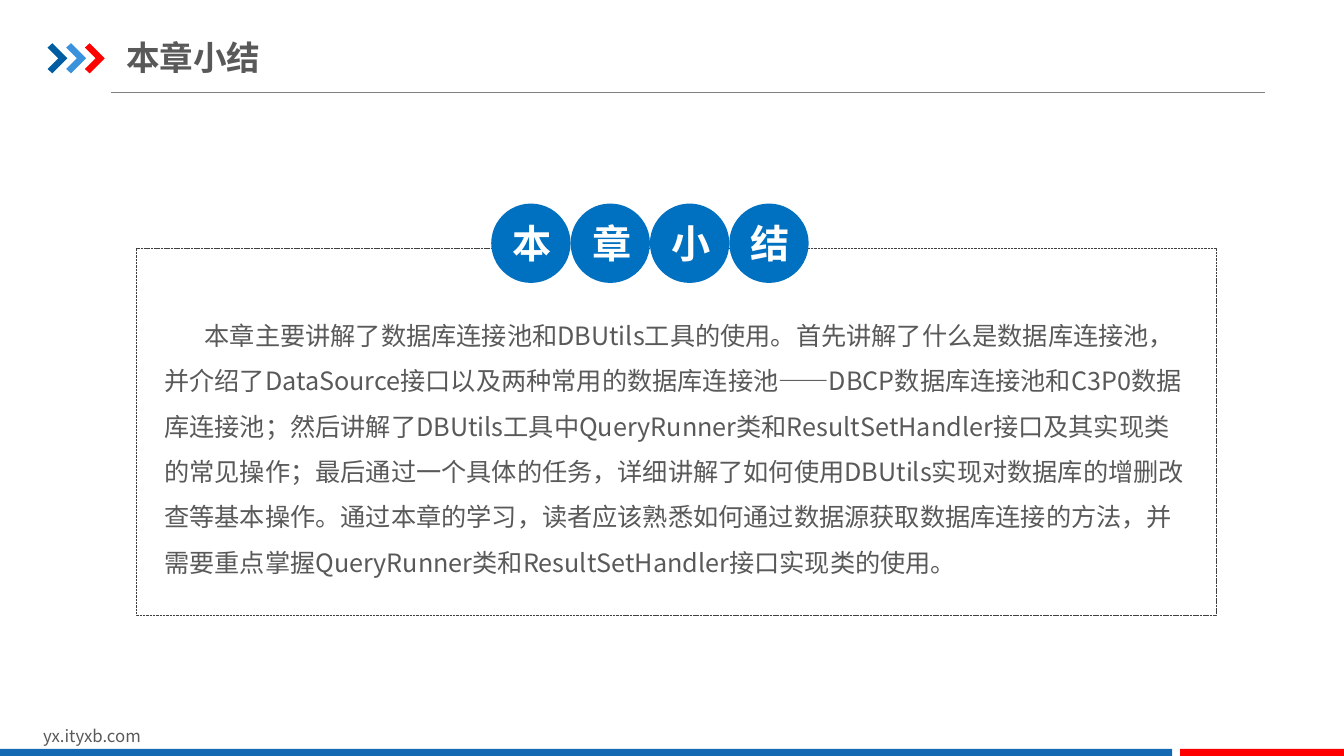
from dataclasses import dataclass

from lxml.etree import SubElement
from pptx import Presentation
from pptx.dml.color import RGBColor
from pptx.enum.dml import MSO_LINE
from pptx.enum.shapes import MSO_CONNECTOR, MSO_SHAPE
from pptx.enum.text import MSO_ANCHOR, MSO_AUTO_SIZE, PP_ALIGN
from pptx.oxml.ns import qn
from pptx.shapes.autoshape import Shape
from pptx.slide import Slide
from pptx.text.text import TextFrame, _Paragraph
from pptx.util import Cm, Pt

FONT = "Noto Sans CJK SC"
TEXT_GREY = "595959"
TITLE = "本章小结"
SUMMARY = (
    "本章主要讲解了数据库连接池和DBUtils工具的使用。首先讲解了什么是数据库连接池，"
    "并介绍了DataSource接口以及两种常用的数据库连接池——DBCP数据库连接池和C3P0数据库连接池；"
    "然后讲解了DBUtils工具中QueryRunner类和ResultSetHandler接口及其实现类的常见操作；"
    "最后通过一个具体的任务，详细讲解了如何使用DBUtils实现对数据库的增删改查等基本操作。"
    "通过本章的学习，读者应该熟悉如何通过数据源获取数据库连接的方法，"
    "并需要重点掌握QueryRunner类和ResultSetHandler接口实现类的使用。"
)


@dataclass(frozen=True)
class Area:
    """A rectangle in centimetres."""
    left: float
    top: float
    width: float
    height: float

    def lengths(self) -> tuple[Cm, Cm, Cm, Cm]:
        return Cm(self.left), Cm(self.top), Cm(self.width), Cm(self.height)


@dataclass(frozen=True)
class Bar:
    area: Area
    colour: str


FOOTER_BARS = [
    Bar(Area(0, 18.87, 29.54, 0.18), "1369B2"),
    Bar(Area(29.74, 18.87, 4.13, 0.18), "FF0000"),
]

# Chevron outline and spacing, in hundredths of a centimetre
CHEVRON_COLOURS = ["005DA2", "3992DB", "FF0000"]
CHEVRON_OUTLINE = [(0, 11), (12, 0), (50, 38), (12, 76), (0, 65), (27, 38)]
CHEVRON_LEFT, CHEVRON_TOP, CHEVRON_STEP = 120, 109, 47

BADGE_LEFT, BADGE_TOP, BADGE_SIZE = 12.38, 5.13, 2.0


def colour(value: str) -> RGBColor:
    return RGBColor.from_string(value)


def add_span(para: _Paragraph, text: str, size: float, shade: str, bold: bool = False) -> None:
    span = para.add_run()
    span.text = text
    span.font.size = Pt(size)
    span.font.bold = bold
    span.font.color.rgb = colour(shade)
    span.font.name = FONT
    SubElement(span.font._element, qn("a:ea")).set("typeface", FONT)


def set_frame(frame: TextFrame, side: float, anchor: MSO_ANCHOR) -> _Paragraph:
    frame.word_wrap = True
    frame.auto_size = MSO_AUTO_SIZE.NONE
    frame.vertical_anchor = anchor
    frame.margin_left = frame.margin_right = Cm(side)
    frame.margin_top = frame.margin_bottom = Cm(0.17)
    return frame.paragraphs[0]


def add_text_box(slide: Slide, area: Area, side: float) -> _Paragraph:
    box = slide.shapes.add_textbox(*area.lengths())
    return set_frame(box.text_frame, side, MSO_ANCHOR.TOP)


def fill_plain(shape: Shape, shade: str) -> None:
    shape.shadow.inherit = False
    shape.fill.solid()
    shape.fill.fore_color.rgb = colour(shade)
    shape.line.fill.background()


def add_filled(slide: Slide, kind: MSO_SHAPE, area: Area, shade: str) -> Shape:
    shape = slide.shapes.add_shape(kind, *area.lengths())
    fill_plain(shape, shade)
    return shape


def add_header(slide: Slide) -> None:
    rule = slide.shapes.add_connector(
        MSO_CONNECTOR.STRAIGHT, Cm(2.79), Cm(2.32), Cm(31.88), Cm(2.32))
    rule.line.color.rgb = colour("808080")
    rule.line.width = Pt(0.5)
    SubElement(rule._element.spPr, qn("a:effectLst"))

    for index, shade in enumerate(CHEVRON_COLOURS):
        left = CHEVRON_LEFT + index * CHEVRON_STEP
        points = [(left + x, CHEVRON_TOP + y) for x, y in CHEVRON_OUTLINE]
        builder = slide.shapes.build_freeform(*points[0], scale=Cm(0.01))
        builder.add_line_segments(points[1:], close=True)
        fill_plain(builder.convert_to_shape(), shade)

    title = slide.shapes.title
    title.left, title.top, title.width, title.height = Area(3.18, 0.74, 10.82, 1.4).lengths()
    para = set_frame(title.text_frame, 0, MSO_ANCHOR.MIDDLE)
    para.alignment = PP_ALIGN.LEFT
    add_span(para, TITLE, 24, TEXT_GREY, bold=True)


def add_footer(slide: Slide) -> None:
    address = add_text_box(slide, Area(0.84, 18.12, 8.08, 0.77), 0.25)
    add_span(address, "yx.ityxb.com", 12, TEXT_GREY)
    for bar in FOOTER_BARS:
        add_filled(slide, MSO_SHAPE.RECTANGLE, bar.area, bar.colour)


def add_summary(slide: Slide) -> None:
    # Dashed frame
    border = slide.shapes.add_shape(
        MSO_SHAPE.ROUNDED_RECTANGLE, *Area(3.44, 6.26, 27.2, 9.25).lengths())
    border.adjustments[0] = 0
    border.shadow.inherit = False
    border.fill.background()
    border.line.color.rgb = colour("404040")
    border.line.width = Pt(0.25)
    border.line.dash_style = MSO_LINE.SQUARE_DOT

    # One round badge for each character of the heading
    for index, character in enumerate(TITLE):
        area = Area(BADGE_LEFT + index * BADGE_SIZE, BADGE_TOP, BADGE_SIZE, BADGE_SIZE)
        badge = add_filled(slide, MSO_SHAPE.OVAL, area, "0070C0")
        para = set_frame(badge.text_frame, 0.25, MSO_ANCHOR.MIDDLE)
        para.alignment = PP_ALIGN.CENTER
        add_span(para, character, 28, "FFFFFF", bold=True)

    # Body text with an indented first line
    body = add_text_box(slide, Area(3.81, 7.52, 26.39, 7.26), 0.33)
    body.line_spacing = 1.5
    body._p.get_or_add_pPr().set("indent", str(Cm(1.02)))
    add_span(body, SUMMARY, 18, TEXT_GREY)


def main() -> None:
    deck = Presentation()
    deck.slide_width, deck.slide_height = Cm(33.87), Cm(19.05)
    page = deck.slides.add_slide(deck.slide_layouts[5])
    add_header(page)
    add_footer(page)
    add_summary(page)
    deck.save("out.pptx")


if __name__ == "__main__":
    main()
